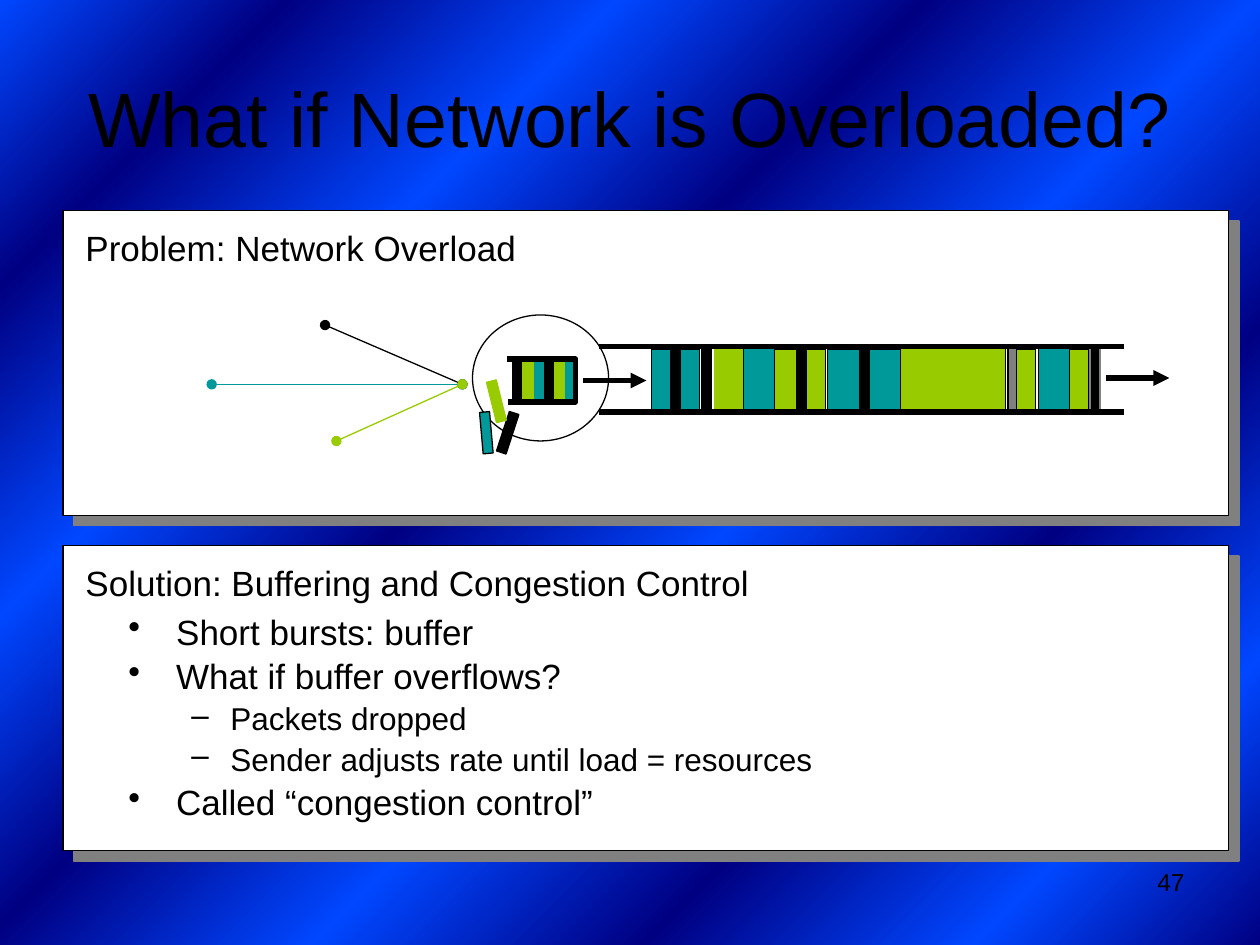
from typing import NamedTuple, Optional

from lxml.etree import SubElement
from pptx import Presentation
from pptx.dml.color import RGBColor
from pptx.enum.shapes import MSO_CONNECTOR, MSO_SHAPE
from pptx.enum.text import MSO_ANCHOR, PP_ALIGN
from pptx.oxml.ns import qn
from pptx.util import Inches, Pt

COLORS = {"black": "000000", "white": "FFFFFF", "gray": "808080", "teal": "009999",
          "lime": "99CC00", "navy": "000082", "blue": "0047FF"}
FONT = "Arial"
THIN, THICK = 0.75, 3


class Panel(NamedTuple):
    top: float
    heading: str


class Bullet(NamedTuple):
    text: str
    level: int = 0


class Packet(NamedTuple):
    left: float
    top: float
    width: float
    height: float
    fill: str
    outline: str = "black"
    rotation: float = 0


class Link(NamedTuple):
    start: tuple[float, float]
    end: tuple[float, float]
    color: str = "black"
    weight: float = THICK
    head: Optional[str] = None
    tail: Optional[str] = None


PANELS = [Panel(1.67, "Problem: Network Overload"),
          Panel(4.33, "Solution: Buffering and Congestion Control")]
BULLETS = [Bullet("Short bursts: buffer"), Bullet("What if buffer overflows?"),
           Bullet("Packets dropped", 1),
           Bullet("Sender adjusts rate until load = resources", 1),
           Bullet("Called “congestion control”")]

# Queued packets: left, width, fill, outline; the two rows sit at slightly different heights
UPPER_QUEUE = [(8.65, 0.08, "black", "gray"), (5.67, 0.25, "lime", "lime"),
               (5.9, 0.25, "teal", "black"), (6.82, 0.08, "black", "gray"),
               (7.15, 0.83, "lime", "black"), (8, 0.08, "gray", "black"),
               (8.24, 0.25, "teal", "black"), (6.32, 0.08, "black", "gray"),
               (5.57, 0.08, "black", "black"), (5.32, 0.08, "black", "black")]
LOWER_QUEUE = [(5.4, 0.15, "teal"), (5.17, 0.15, "teal"), (6.15, 0.17, "lime"),
               (8.07, 0.15, "lime"), (6.4, 0.15, "lime"), (6.57, 0.25, "teal"),
               (8.49, 0.15, "lime"), (6.9, 0.25, "teal")]
BUFFER = [(4.32, 0.08, "black", "black"), (4.4, 0.17, "teal", "black"),
          (4.4, 0.08, "lime", "lime"), (4.07, 0.08, "black", "black"),
          (4.15, 0.17, "teal", "black"), (4.15, 0.08, "lime", "lime")]
QUEUED = ([Packet(left, 2.75, width, 0.5, *colors) for left, width, *colors in UPPER_QUEUE]
          + [Packet(left, 2.77, width, 0.5, fill) for left, width, fill in LOWER_QUEUE]
          + [Packet(left, 2.85, width, 0.33, *colors) for left, width, *colors in BUFFER])
DROPPED = [Packet(3.99, 3.27, 0.08, 0.33, "black", "black", 18),
           Packet(3.82, 3.27, 0.08, 0.33, "teal", "black", 355),
           Packet(3.9, 3.02, 0.08, 0.33, "lime", "lime", 346)]

ROUTER = (3.67, 3.05)
ARROWS = [Link((4.63, 3.02), (5.13, 3.02), tail="triangle"),
          Link((8.78, 3), (9.28, 3), tail="triangle")]
QUEUE_WALLS = [Link((4.75, y), (8.92, y)) for y in (3.27, 2.75)]
SENDERS = [Link(start, ROUTER, color, THIN, "oval", "oval")
           for start, color in (((2.58, 2.58), "black"), ((1.68, 3.05), "teal"),
                                ((2.67, 3.5), "lime"))]


def rgb(color: str) -> RGBColor:
    return RGBColor.from_string(COLORS[color])


def style_line(line, color: str, weight: float) -> None:
    line.color.rgb = rgb(color)
    line.width = Pt(weight)


def style_font(paragraph, size: float) -> None:
    paragraph.font.name = FONT
    paragraph.font.size = Pt(size)
    paragraph.font.color.rgb = rgb("black")


def add_shape(slide, kind, box: tuple, fill: Optional[str], outline: str = "black"):
    shape = slide.shapes.add_shape(kind, *map(Inches, box))
    shape.shadow.inherit = False
    if fill:
        shape.fill.solid()
        shape.fill.fore_color.rgb = rgb(fill)
    else:
        shape.fill.background()
    style_line(shape.line, outline, THIN)
    return shape


def add_text(slide, box: tuple, text: str, size: float):
    frame = slide.shapes.add_textbox(*map(Inches, box)).text_frame
    frame.word_wrap = True
    frame.text = text
    style_font(frame.paragraphs[0], size)
    return frame


def add_packet(slide, packet: Packet) -> None:
    box = (packet.left, packet.top, packet.width, packet.height)
    shape = add_shape(slide, MSO_SHAPE.RECTANGLE, box, packet.fill, packet.outline)
    shape.rotation = packet.rotation


def add_link(slide, link: Link) -> None:
    connector = slide.shapes.add_connector(
        MSO_CONNECTOR.STRAIGHT, *map(Inches, link.start + link.end))
    style_line(connector.line, link.color, link.weight)
    line = connector.line._get_or_add_ln()
    for tag, mark in (("a:headEnd", link.head), ("a:tailEnd", link.tail)):
        if mark:
            SubElement(line, qn(tag), type=mark)
    SubElement(connector._element.spPr, qn("a:effectLst"))


def add_panel(slide, panel: Panel) -> None:
    shape = add_shape(slide, MSO_SHAPE.RECTANGLE, (0.5, panel.top, 9.25, 2.42), "white")
    effects = shape._element.spPr.find(qn("a:effectLst"))
    shadow = SubElement(effects, qn("a:outerShdw"), blurRad="0", dist=str(Pt(8.5)),
                        dir="2700000", algn="ctr", rotWithShape="0")
    SubElement(shadow, qn("a:srgbClr"), val=COLORS["gray"])
    add_text(slide, (0.58, panel.top + 0.08, 6.42, 0.75), panel.heading, 20)


def add_bullets(slide) -> None:
    frame = add_text(slide, (0.92, 4.83, 8.5, 1.92), "", 20)
    for index, bullet in enumerate(BULLETS):
        paragraph = frame.add_paragraph() if index else frame.paragraphs[0]
        paragraph.text = bullet.text
        paragraph.level = bullet.level
        size, margin, hanging, mark = ((20, 0.38, 0.38, "•"),
                                       (18, 0.81, 0.31, "–"))[bullet.level]
        paragraph.line_spacing = 0.9
        paragraph.space_before = Pt(0.2 * size if index else 0)
        properties = paragraph._p.get_or_add_pPr()
        properties.set("marL", str(Inches(margin)))
        properties.set("indent", str(-Inches(hanging)))
        SubElement(properties, qn("a:buChar"), char=mark)
        style_font(paragraph, size)


def paint_background(slide) -> None:
    """Alternate navy and blue in rings around the bottom right corner."""
    slide.background.fill.gradient()
    gradient = slide._element.find(".//" + qn("a:gradFill"))
    for child in list(gradient):
        gradient.remove(child)
    stops = SubElement(gradient, qn("a:gsLst"))
    for index, percent in enumerate((0, 13, 28, 43, 58, 72, 87, 100)):
        stop = SubElement(stops, qn("a:gs"), pos=str(percent * 1000))
        SubElement(stop, qn("a:srgbClr"), val=COLORS[("navy", "blue")[index % 2]])
    rings = SubElement(gradient, qn("a:path"), {"path": "circle"})
    SubElement(rings, qn("a:fillToRect"), l="100000", t="100000")


def add_buffer_outline(slide) -> None:
    builder = slide.shapes.build_freeform(Inches(4.02), Inches(2.85))
    corners = [(4.57, 2.85), (4.57, 3.19), (4.03, 3.19)]
    builder.add_line_segments([(Inches(x), Inches(y)) for x, y in corners], close=False)
    outline = builder.convert_to_shape()
    outline.shadow.inherit = False
    outline.fill.background()
    style_line(outline.line, "black", THICK)


def main() -> None:
    deck = Presentation()
    deck.slide_width, deck.slide_height = Inches(10), Inches(7.5)
    slide = deck.slides.add_slide(deck.slide_layouts[5])
    paint_background(slide)

    title = slide.shapes.title
    title.left, title.top, title.width, title.height = map(Inches, (0.5, 0.3, 9, 1.25))
    title.text_frame.text = "What if Network is Overloaded?"
    title.text_frame.vertical_anchor = MSO_ANCHOR.MIDDLE
    title.text_frame.paragraphs[0].alignment = PP_ALIGN.CENTER
    style_font(title.text_frame.paragraphs[0], 44)

    page_number = add_text(slide, (7.17, 6.83, 2.33, 0.52), "47", 14)
    page_number.paragraphs[0].alignment = PP_ALIGN.RIGHT

    for panel in PANELS:
        add_panel(slide, panel)
    add_bullets(slide)

    add_shape(slide, MSO_SHAPE.OVAL, (3.75, 2.5, 1.08, 1), None)
    for arrow in ARROWS:
        add_link(slide, arrow)
    for packet in QUEUED:
        add_packet(slide, packet)
    add_buffer_outline(slide)
    for packet in DROPPED:
        add_packet(slide, packet)
    for link in QUEUE_WALLS + SENDERS:
        add_link(slide, link)

    deck.save("out.pptx")


if __name__ == "__main__":
    main()
